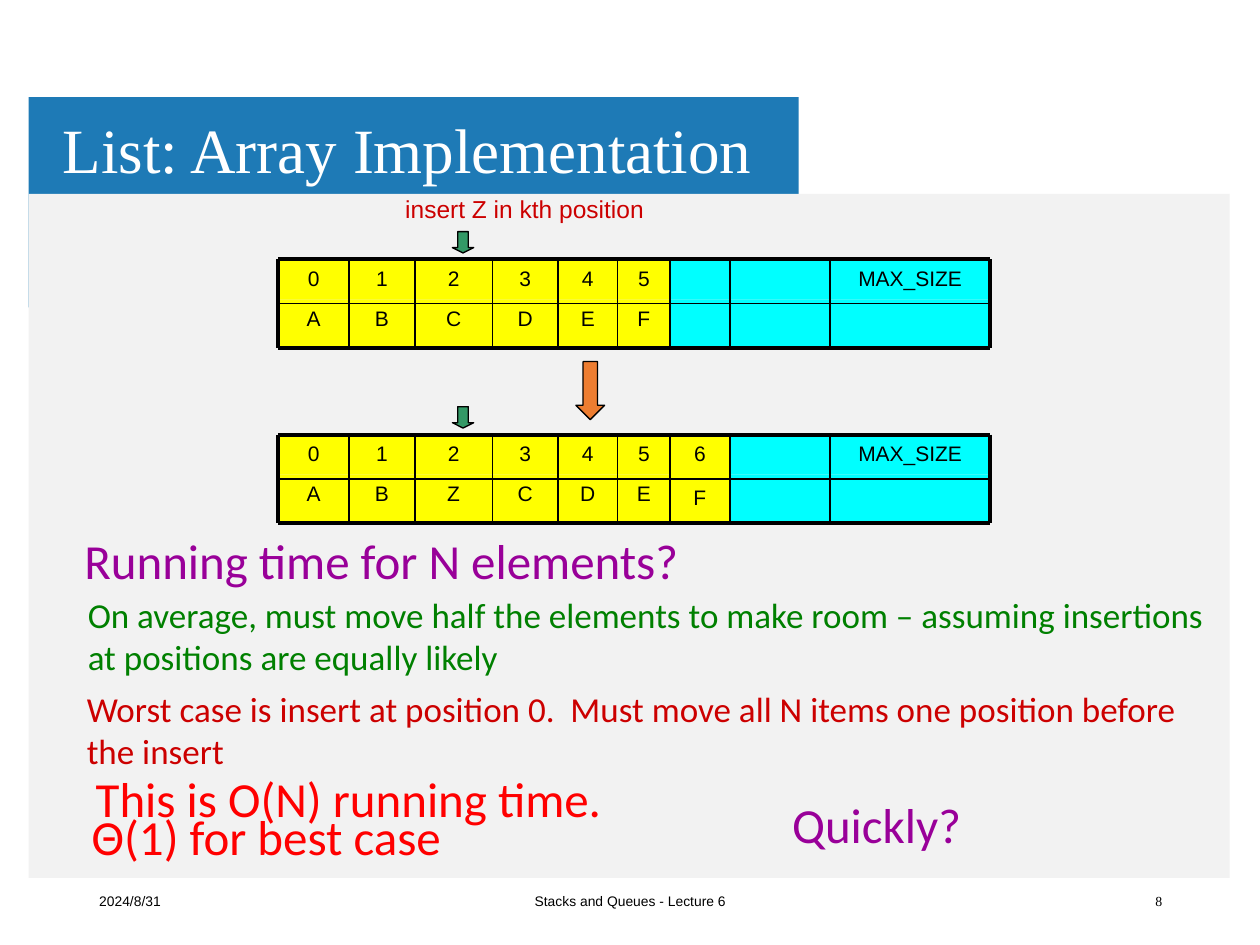
from itertools import pairwise

from lxml.etree import SubElement
from pptx import Presentation
from pptx.dml.color import RGBColor
from pptx.enum.shapes import MSO_CONNECTOR, MSO_SHAPE
from pptx.enum.text import MSO_ANCHOR, MSO_AUTO_SIZE, PP_ALIGN
from pptx.oxml.ns import qn
from pptx.util import Cm, Pt

COLUMN_EDGES = [5.61, 7.04, 8.36, 9.93, 11.25, 12.45, 13.51, 14.71, 16.74, 19.96]
ARRAY_HEIGHT = 1.78
INDEX_HEIGHT = 0.81
BLACK, USED, FREE = "000000", "FFFF00", "00FFFF"
PURPLE, RED = "990099", "CC0000"
CELL_FONT = {"size": Pt(12), "name": "Arial"}
FOOTER_FONT = {"size": Pt(7.9), "name": "Arial"}
SMALL_FONT = {"size": Pt(20), "name": "Calibri"}
LARGE_FONT = {"size": Pt(28), "name": "Calibri"}


def color(value):
    return RGBColor.from_string(value)


def apply_format(target, values):
    for name, value in values.items():
        setattr(target, name, value)


class SlideBuilder:
    def __init__(self, page):
        self.page = page

    def fill_text(self, frame, text, font, text_color, paragraph_format):
        para = frame.paragraphs[0]
        apply_format(para, paragraph_format)
        span = para.add_run()
        span.text = text
        apply_format(span.font, font)
        span.font.color.rgb = color(text_color)

    def shape(self, kind, left, top, width, height, fill, outline=None):
        shape = self.page.shapes.add_shape(kind, Cm(left), Cm(top), Cm(width), Cm(height))
        shape.shadow.inherit = False
        shape.fill.solid()
        shape.fill.fore_color.rgb = color(fill)
        if outline:
            shape.line.color.rgb = color(outline)
            shape.line.width = Pt(0.75)
        else:
            shape.line.fill.background()
        return shape

    def arrow(self, left, top, width, height, fill, head):
        arrow = self.shape(MSO_SHAPE.DOWN_ARROW, left, top, width, height, fill, BLACK)
        arrow.adjustments[1] = head

    def cell(self, left, top, width, height, fill, text):
        cell = self.shape(MSO_SHAPE.RECTANGLE, left, top, width, height, fill)
        if text:
            cell.text_frame.vertical_anchor = MSO_ANCHOR.TOP
            self.fill_text(cell.text_frame, text, CELL_FONT, BLACK,
                           {"alignment": PP_ALIGN.CENTER})

    def line(self, start_x, start_y, end_x, end_y, width):
        line = self.page.shapes.add_connector(
            MSO_CONNECTOR.STRAIGHT, Cm(start_x), Cm(start_y), Cm(end_x), Cm(end_y))
        line.line.color.rgb = color(BLACK)
        line.line.width = Pt(width)
        SubElement(line._element.spPr, qn("a:effectLst"))

    def text(self, text, left, top, width, height, font, text_color,
             frame_format=None, **paragraph_format):
        box = self.page.shapes.add_textbox(Cm(left), Cm(top), Cm(width), Cm(height))
        frame = box.text_frame
        frame.word_wrap = True
        apply_format(frame, frame_format or {"auto_size": MSO_AUTO_SIZE.SHAPE_TO_FIT_TEXT})
        self.fill_text(frame, text, font, text_color, paragraph_format)

    def array(self, top, items, even_column=None):
        """Draw indexes over items; even_column has two rows of equal height."""
        middle, bottom = top + ARRAY_HEIGHT / 2, top + ARRAY_HEIGHT
        first, last = COLUMN_EDGES[0], COLUMN_EDGES[-1]
        last_column = len(COLUMN_EDGES) - 2
        for column, (left, right) in enumerate(pairwise(COLUMN_EDGES)):
            used = column < len(items)
            index = str(column) if used else "MAX_SIZE" if column == last_column else ""
            item = items[column] if used else ""
            fill = USED if used else FREE
            split = middle if column == even_column else top + INDEX_HEIGHT
            self.cell(left, top, right - left, split - top, fill, index)
            self.cell(left, split, right - left, bottom - split, fill, item)
        for edge in COLUMN_EDGES:
            self.line(edge, top, edge, bottom, 2.25 if edge in (first, last) else 1)
        for height, width in ((top, 2.25), (middle, 1), (bottom, 2.25)):
            self.line(first, height, last, height, width)
        self.arrow(9.12, top - 0.56, 0.43, 0.43, "339966", 0.25)


def main():
    deck = Presentation()
    deck.slide_width, deck.slide_height = Cm(25.4), Cm(19.05)
    slide = SlideBuilder(deck.slides.add_slide(deck.slide_layouts[6]))
    middle = {"vertical_anchor": MSO_ANCHOR.MIDDLE}

    slide.shape(MSO_SHAPE.RECTANGLE, 0.58, 1.96, 15.52, 4.24, "1E7AB6")
    slide.shape(MSO_SHAPE.RECTANGLE, 0.58, 3.91, 24.21, 13.79, "F2F2F2")
    slide.text("List: Array Implementation", 1.02, 2.08, 15.49, 2.01,
               {"size": Pt(36), "name": "Times New Roman"}, "FFFFFF", middle, line_spacing=0.9)

    footers = [
        ("2024/8/31", 1.75, 5.72, PP_ALIGN.LEFT, {}),
        ("Stacks and Queues - Lecture 6", 8.41, 8.59, PP_ALIGN.CENTER, {}),
        ("8", 17.96, 5.72, PP_ALIGN.RIGHT, {"name": "Times New Roman"}),
    ]
    for text, left, width, alignment, font in footers:
        slide.text(text, left, 17.65, width, 1.02, FOOTER_FONT | font, BLACK, middle,
                   alignment=alignment)

    slide.array(5.23, "ABCDEF")
    slide.array(8.76, "ABZCDEF", even_column=6)
    slide.arrow(11.61, 7.29, 0.58, 1.17, "ED7D31", 0.5)

    notes = [
        ("insert Z in kth position", 7.92, 3.78, 6.32, 0.86,
         {"size": Pt(14), "name": "Arial"}, RED),
        ("Running time for N elements?", 1.45, 10.57, 15.11, 1.45, LARGE_FONT, PURPLE),
        ("On average, must move half the elements to make room – assuming insertions "
         "at positions are equally likely", 1.52, 11.84, 23.67, 1.96, SMALL_FONT, "008000"),
        ("Worst case is insert at position 0.  Must move all N items one position before "
         "the insert", 1.5, 13.74, 23.11, 1.96, SMALL_FONT, RED),
        ("This is O(N) running time.", 1.68, 15.37, 22.1, 1.45, LARGE_FONT, "FF0000"),
        ("Θ(1) for best case", 1.6, 16.13, 9.25, 1.45, LARGE_FONT, "FF0000"),
        ("Quickly?", 15.72, 15.9, 4.98, 1.45, LARGE_FONT, PURPLE),
    ]
    for note in notes:
        slide.text(*note)

    deck.save("out.pptx")


if __name__ == "__main__":
    main()
